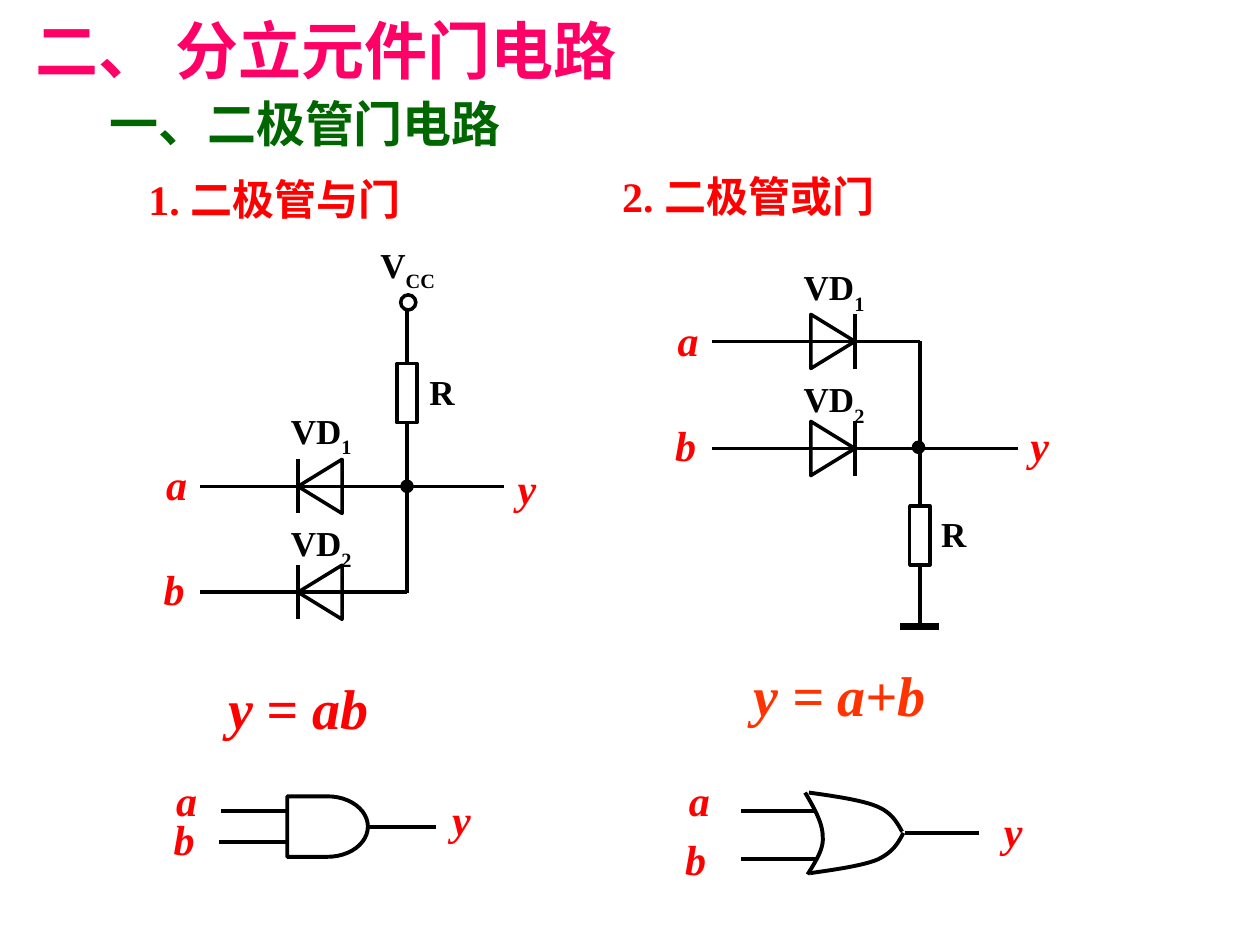
from lxml import etree
from pptx import Presentation
from pptx.dml.color import RGBColor
from pptx.enum.shapes import MSO_CONNECTOR, MSO_SHAPE
from pptx.enum.text import MSO_ANCHOR, MSO_AUTO_SIZE, PP_ALIGN
from pptx.oxml.ns import qn
from pptx.util import Inches, Pt

STRAIGHT = MSO_CONNECTOR.STRAIGHT
RECTANGLE, ELLIPSE = MSO_SHAPE.RECTANGLE, MSO_SHAPE.OVAL
TRIANGLE, AND_GATE = MSO_SHAPE.ISOSCELES_TRIANGLE, MSO_SHAPE.FLOWCHART_DELAY
TOP, MIDDLE = MSO_ANCHOR.TOP, MSO_ANCHOR.MIDDLE
SERIF, SANS, CHINESE = "Times New Roman", "Arial", "Noto Sans CJK SC"
BLACK, WHITE, RED = "000000", "FFFFFF", "FF0000"
CIRCUIT_LINE, GATE_LINE, GROUND_LINE = 2, 2.25, 4

# Content: (box, text, size, font, colour, anchor)
TITLE = [("二、 ", SERIF), ("分立元件门电路", CHINESE)]
HEADINGS = [
    ((0.77, 0.7, 3.86, 0.55), "一、二极管门电路", 28, SANS, "006600", MIDDLE),
    ((4.84, 1.28, 2.84, 0.55), "2. 二极管或门", 24, SERIF, RED, MIDDLE),
]
NUMBERED = ((1.08, 1.33, 2.23, 0.51), [("1. ", SERIF), ("二极管与门", SANS)])

# Formulas: (box, text, colour, side inset, line spacing)
FORMULAS = [
    ((1.81, 5.3, 1.42, 0.63), "y = ab", RED, 0, 1.0),
    ((5.88, 5.3, 2.03, 0.53), "y = a+b", "FF3300", 0.1, 0.8),
]
# Signal names: (text, left, top)
SIGNALS = [
    ("a", 1.22, 3.59), ("b", 1.2, 4.42), ("y", 4.01, 3.62),
    ("a", 5.28, 2.45), ("b", 5.26, 3.28), ("y", 8.08, 3.28),
    ("a", 1.3, 6.1), ("b", 1.28, 6.41), ("y", 3.49, 6.25),
    ("a", 5.37, 6.1), ("b", 5.34, 6.57), ("y", 7.87, 6.34),
]
# Part names: (text, subscript, left, top)
PART_NAMES = [
    ("V", "CC", 2.92, 1.88), ("R", "", 3.31, 2.89), ("R", "", 7.37, 4.02),
    ("VD", "1", 2.21, 3.2), ("VD", "2", 2.21, 4.09),
    ("VD", "1", 6.28, 2.06), ("VD", "2", 6.28, 2.95),
]
# Wires: (x1, y1, x2, y2, width)
WIRES = [
    (3.23, 2.42, 3.23, 4.71, CIRCUIT_LINE),
    (4, 3.86, 1.59, 3.86, CIRCUIT_LINE),
    (3.23, 4.7, 1.59, 4.7, CIRCUIT_LINE),
    (7.3, 2.71, 7.3, 4.99, CIRCUIT_LINE),
    (7.3, 2.71, 5.65, 2.71, CIRCUIT_LINE),
    (8.08, 3.56, 5.65, 3.56, CIRCUIT_LINE),
    (7.45, 4.97, 7.14, 4.97, GROUND_LINE),
    (1.75, 6.44, 2.28, 6.44, GATE_LINE),
    (1.74, 6.68, 2.27, 6.68, GATE_LINE),
    (5.88, 6.44, 6.47, 6.44, GATE_LINE),
    (5.88, 6.82, 6.48, 6.82, GATE_LINE),
    (7.18, 6.61, 7.77, 6.61, GATE_LINE),
]
# Diodes: (centre x, centre y, rotation, side of the bar)
DIODES = [(2.54, 3.86, 270, -1), (2.54, 4.7, 270, -1),
          (6.61, 2.71, 90, 1), (6.61, 3.56, 90, 1)]
DIODE_WIDTH, DIODE_HEIGHT = 0.35, 0.43
# Resistors and dots, by centre; dots also have diameter and fill
RESISTORS = [(3.23, 3.12), (7.3, 4.25)]
DOTS = [(3.24, 2.4, 0.12, WHITE), (3.23, 3.86, 0.08, BLACK),
        (7.29, 3.55, 0.08, BLACK)]
# OR gate outline: chains of cubic curves
OR_GATE = [
    [(6.42, 6.29), (6.63, 6.32), (6.84, 6.35), (6.96, 6.4),
     (7.08, 6.45), (7.12, 6.53), (7.16, 6.6)],
    [(6.43, 6.93), (6.64, 6.9), (6.85, 6.87), (6.97, 6.82),
     (7.09, 6.76), (7.13, 6.69), (7.17, 6.61)],
    [(6.39, 6.29), (6.46, 6.41), (6.53, 6.53), (6.53, 6.64),
     (6.54, 6.74), (6.47, 6.84), (6.41, 6.94)],
]

presentation = Presentation()
presentation.slide_width, presentation.slide_height = Inches(10), Inches(7.5)
slide = presentation.slides.add_slide(presentation.slide_layouts[5])
shapes = slide.shapes


def color(value):
    return RGBColor.from_string(value)


def set_outline(shape, width, fill=None):
    shape.shadow.inherit = False
    shape.line.color.rgb = color(BLACK)
    shape.line.width = Pt(width)
    if fill:
        shape.fill.solid()
        shape.fill.fore_color.rgb = color(fill)
    else:
        shape.fill.background()


def add_part(kind, center_x, center_y, width, height, line, fill=None):
    shape = shapes.add_shape(kind, Inches(center_x - width / 2),
                             Inches(center_y - height / 2),
                             Inches(width), Inches(height))
    set_outline(shape, line, fill)
    return shape


def add_wire(x1, y1, x2, y2, width):
    wire = shapes.add_connector(STRAIGHT, *map(Inches, (x1, y1, x2, y2)))
    wire.line.color.rgb = color(BLACK)
    wire.line.width = Pt(width)
    etree.SubElement(wire._element.spPr, qn("a:effectLst"))
    return wire


def fill_text(shape, runs, size, text_color, anchor=TOP, italic=False):
    """Write (text, font) runs into the shape's only paragraph."""
    frame = shape.text_frame
    frame.word_wrap, frame.auto_size = True, MSO_AUTO_SIZE.NONE
    frame.vertical_anchor = anchor
    paragraph = frame.paragraphs[0]
    paragraph.alignment = PP_ALIGN.LEFT
    font = paragraph.font
    font.size, font.bold, font.italic = Pt(size), True, italic
    font.color.rgb = color(text_color)
    for text, typeface in runs:
        run = paragraph.add_run()
        run.text, run.font.name = text, typeface
        if not text.isascii():
            east_asian = etree.SubElement(run._r.get_or_add_rPr(), qn("a:ea"))
            east_asian.set("typeface", CHINESE)
    return paragraph


def add_text(box, *args, **options):
    shape = shapes.add_textbox(*map(Inches, box))
    return shape, fill_text(shape, *args, **options)


def curve_points(chain, steps=12):
    """Sample a chain of cubic curves."""
    points = [chain[0]]
    for first in range(0, len(chain) - 1, 3):
        controls = chain[first:first + 4]
        for step in range(1, steps + 1):
            t = step / steps
            weights = ((1 - t) ** 3, 3 * t * (1 - t) ** 2,
                       3 * t * t * (1 - t), t ** 3)
            points.append(tuple(sum(w * p[axis] for w, p in zip(weights, controls))
                                for axis in (0, 1)))
    return [(Inches(x), Inches(y)) for x, y in points]


# Title and headings
title = shapes.title
title.left, title.top, title.width, title.height = map(Inches, (0.18, 0.04, 6.22, 0.71))
fill_text(title, TITLE, 36, "FF0066")
for box, text, size, typeface, text_color, anchor in HEADINGS:
    add_text(box, [(text, typeface)], size, text_color, anchor)
box, runs = NUMBERED
heading, paragraph = add_text(box, runs, 24, RED)
properties = paragraph._p.get_or_add_pPr()
properties.set("marL", str(Inches(0.38)))
properties.set("indent", str(-Inches(0.38)))

# Formulas
for box, text, text_color, inset, spacing in FORMULAS:
    shape, paragraph = add_text(box, [(text, SERIF)], 32, text_color, italic=True)
    shape.text_frame.margin_left = shape.text_frame.margin_right = Inches(inset)
    paragraph.line_spacing = spacing

# Circuits
for wire in WIRES:
    add_wire(*wire)
for x, y in RESISTORS:
    add_part(RECTANGLE, x, y, 0.16, 0.47, CIRCUIT_LINE, WHITE)
for x, y, diameter, fill in DOTS:
    add_part(ELLIPSE, x, y, diameter, diameter, CIRCUIT_LINE, fill)
for x, y, rotation, side in DIODES:
    triangle = add_part(TRIANGLE, x, y, DIODE_HEIGHT, DIODE_WIDTH, CIRCUIT_LINE)
    triangle.rotation = rotation
    bar_x = x + side * DIODE_WIDTH / 2
    add_wire(bar_x, y - DIODE_HEIGHT / 2, bar_x, y + DIODE_HEIGHT / 2, CIRCUIT_LINE)

# Gate symbols
and_gate = add_part(AND_GATE, 2.6, 6.56, 0.64, 0.48, GATE_LINE)
add_wire(2.92, 6.56, 3.46, 6.56, GATE_LINE).begin_connect(and_gate, 3)
for chain in OR_GATE:
    start, *rest = curve_points(chain)
    builder = shapes.build_freeform(*start, scale=1.0)
    builder.add_line_segments(rest, close=False)
    set_outline(builder.convert_to_shape(), GATE_LINE)

# Signal and part names
for text, left, top in SIGNALS:
    add_text((left, top, 0.4, 0.5), [(text, SERIF)], 24, RED, italic=True)
for text, subscript, left, top in PART_NAMES:
    runs = [(part, SERIF) for part in (text, subscript) if part]
    shape, paragraph = add_text((left, top, 0.75, 0.44), runs, 20, BLACK)
    for run in paragraph.runs[1:]:
        run._r.get_or_add_rPr().set("baseline", "-30000")

presentation.save("out.pptx")
